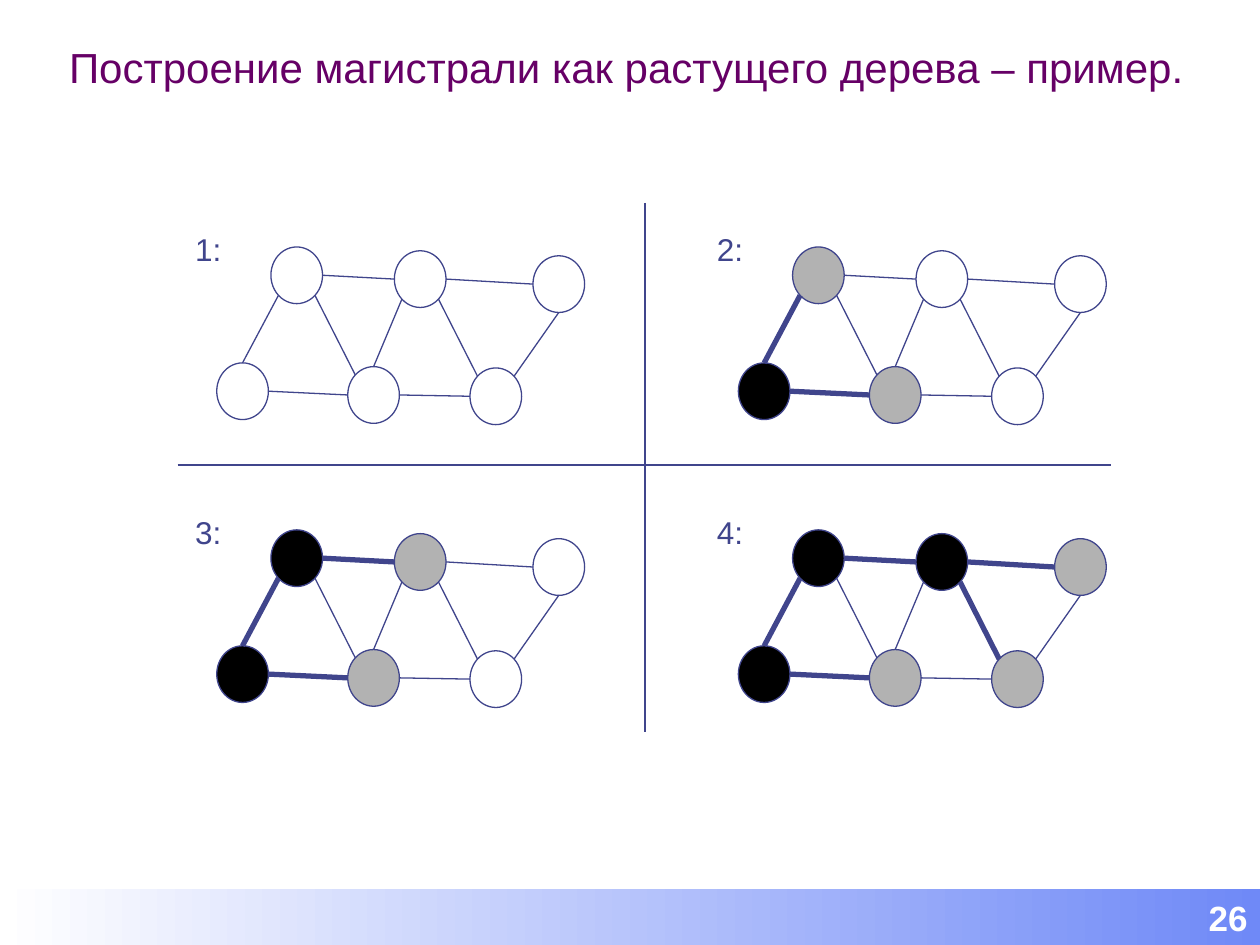
from math import sqrt

from lxml import etree
from pptx import Presentation
from pptx.dml.color import RGBColor
from pptx.enum.shapes import MSO_CONNECTOR, MSO_SHAPE
from pptx.enum.text import MSO_ANCHOR, PP_ALIGN
from pptx.oxml.ns import qn
from pptx.util import Inches, Pt

STRAIGHT = MSO_CONNECTOR.STRAIGHT
OVAL, RECTANGLE = MSO_SHAPE.OVAL, MSO_SHAPE.RECTANGLE
TOP, MIDDLE, BOTTOM = MSO_ANCHOR.TOP, MSO_ANCHOR.MIDDLE, MSO_ANCHOR.BOTTOM
LEFT, RIGHT = PP_ALIGN.LEFT, PP_ALIGN.RIGHT

TITLE = "Построение магистрали как растущего дерева – пример."
PAGE_NUMBER = "26"

NODES = {
    "a": (0.70, 0.18), "b": (1.68, 0.21), "c": (2.78, 0.25),
    "d": (0.27, 1.10), "e": (1.31, 1.13), "f": (2.28, 1.14),
}
EDGES = {
    "bc": ("east", "west"), "be": ("southwest", "north"),
    "ba": ("west", "east"), "cf": ("south", "northeast"),
    "fe": ("west", "east"), "ed": ("west", "east"),
    "da": ("north", "southwest"), "ae": ("southeast", "northwest"),
    "bf": ("southeast", "northwest"),
}
STEPS = [
    {"label": "1:", "black": "", "gray": "", "tree": []},
    {"label": "2:", "black": "d", "gray": "ae", "tree": ["ed", "da"]},
    {"label": "3:", "black": "ad", "gray": "be", "tree": ["ba", "ed", "da"]},
    {"label": "4:", "black": "abd", "gray": "cef",
     "tree": ["bc", "ba", "ed", "da", "bf"]},
]

THEME = {
    "font": "Arial",
    "title": RGBColor(0x66, 0x00, 0x66), "ink": RGBColor(0x40, 0x45, 0x8C),
    "black": RGBColor(0, 0, 0), "gray": RGBColor(0xB2, 0xB2, 0xB2),
    "white": RGBColor(255, 255, 255), "footer": RGBColor(0x6F, 0x89, 0xF7),
    "title_size": 24, "label_size": 18, "number_size": 20,
    "thin": 0.75, "thick": 3,
}

WIDTH, HEIGHT = 10, 7.5
FOOTER_HEIGHT = 0.44
GRID_LEFT, GRID_TOP = 1.45, 1.78
COLUMN, ROW = 4.14, 2.245
NODE_WIDTH, NODE_HEIGHT = 0.41, 0.45
DIAGONAL = sqrt(0.5)
COMPASS = {
    "north": (0, -1), "south": (0, 1), "west": (-1, 0), "east": (1, 0),
    "northwest": (-DIAGONAL, -DIAGONAL), "northeast": (DIAGONAL, -DIAGONAL),
    "southwest": (-DIAGONAL, DIAGONAL), "southeast": (DIAGONAL, DIAGONAL),
}


def inches(*lengths):
    return [Inches(length) for length in lengths]


def write(box, text, size, color, anchor=TOP, align=LEFT, bold=False, wrap=True):
    frame = box.text_frame
    frame.word_wrap = wrap
    frame.vertical_anchor = anchor
    para = frame.paragraphs[0]
    para.text = text
    para.alignment = align
    para.font.name = THEME["font"]
    para.font.size = Pt(size)
    para.font.bold = bold
    para.font.color.rgb = color


def add_line(page, start, end, weight):
    line = page.shapes.add_connector(STRAIGHT, *inches(*start, *end))
    line.line.color.rgb = THEME["ink"]
    line.line.width = Pt(weight)
    properties = line._element.find(qn("p:spPr"))
    etree.SubElement(properties, qn("a:effectLst"))


def rim_point(center, direction):
    across, down = COMPASS[direction]
    return (center[0] + across * NODE_WIDTH / 2,
            center[1] + down * NODE_HEIGHT / 2)


def add_node(page, center, color):
    left, top = center[0] - NODE_WIDTH / 2, center[1] - NODE_HEIGHT / 2
    node = page.shapes.add_shape(OVAL, *inches(left, top, NODE_WIDTH, NODE_HEIGHT))
    node.shadow.inherit = False
    node.line.color.rgb = THEME["ink"]
    node.line.width = Pt(THEME["thin"])
    if color is None:
        node.fill.background()
    else:
        node.fill.solid()
        node.fill.fore_color.rgb = color


def add_step(page, step, left, top):
    centers = {
        name: (left + x + NODE_WIDTH / 2, top + y + NODE_HEIGHT / 2)
        for name, (x, y) in NODES.items()
    }
    for name, center in centers.items():
        shade = next((key for key in ("black", "gray") if name in step[key]), None)
        add_node(page, center, THEME.get(shade))
    for edge, (leave, arrive) in EDGES.items():
        add_line(page, rim_point(centers[edge[0]], leave),
                 rim_point(centers[edge[1]], arrive),
                 THEME["thick" if edge in step["tree"] else "thin"])
    label = page.shapes.add_textbox(*inches(left, top, 0.41, 0.4))
    write(label, step["label"], THEME["label_size"], THEME["ink"], wrap=False)


def add_footer(page):
    bar = page.shapes.add_shape(
        RECTANGLE, *inches(0, HEIGHT - FOOTER_HEIGHT, WIDTH, FOOTER_HEIGHT))
    bar.shadow.inherit = False
    bar.line.fill.background()
    bar.fill.gradient()
    bar.fill.gradient_angle = 0
    for stop, position, color in zip(bar.fill.gradient_stops, (0, 1),
                                     ("white", "footer")):
        stop.position = position
        stop.color.rgb = THEME[color]
    write(bar, PAGE_NUMBER, THEME["number_size"], THEME["white"],
          MIDDLE, RIGHT, bold=True)


def main():
    deck = Presentation()
    deck.slide_width, deck.slide_height = inches(WIDTH, HEIGHT)
    page = deck.slides.add_slide(deck.slide_layouts[6])
    title = page.shapes.add_textbox(*inches(0.45, 0.16, 9.33, 0.62))
    write(title, TITLE, THEME["title_size"], THEME["title"], BOTTOM)
    add_line(page, (5.12, 1.61), (5.12, 5.81), THEME["thin"])
    add_line(page, (1.41, 3.69), (8.82, 3.69), THEME["thin"])
    for index, step in enumerate(STEPS):
        row, column = divmod(index, 2)
        add_step(page, step, GRID_LEFT + column * COLUMN, GRID_TOP + row * ROW)
    add_footer(page)
    deck.save("out.pptx")


if __name__ == "__main__":
    main()
